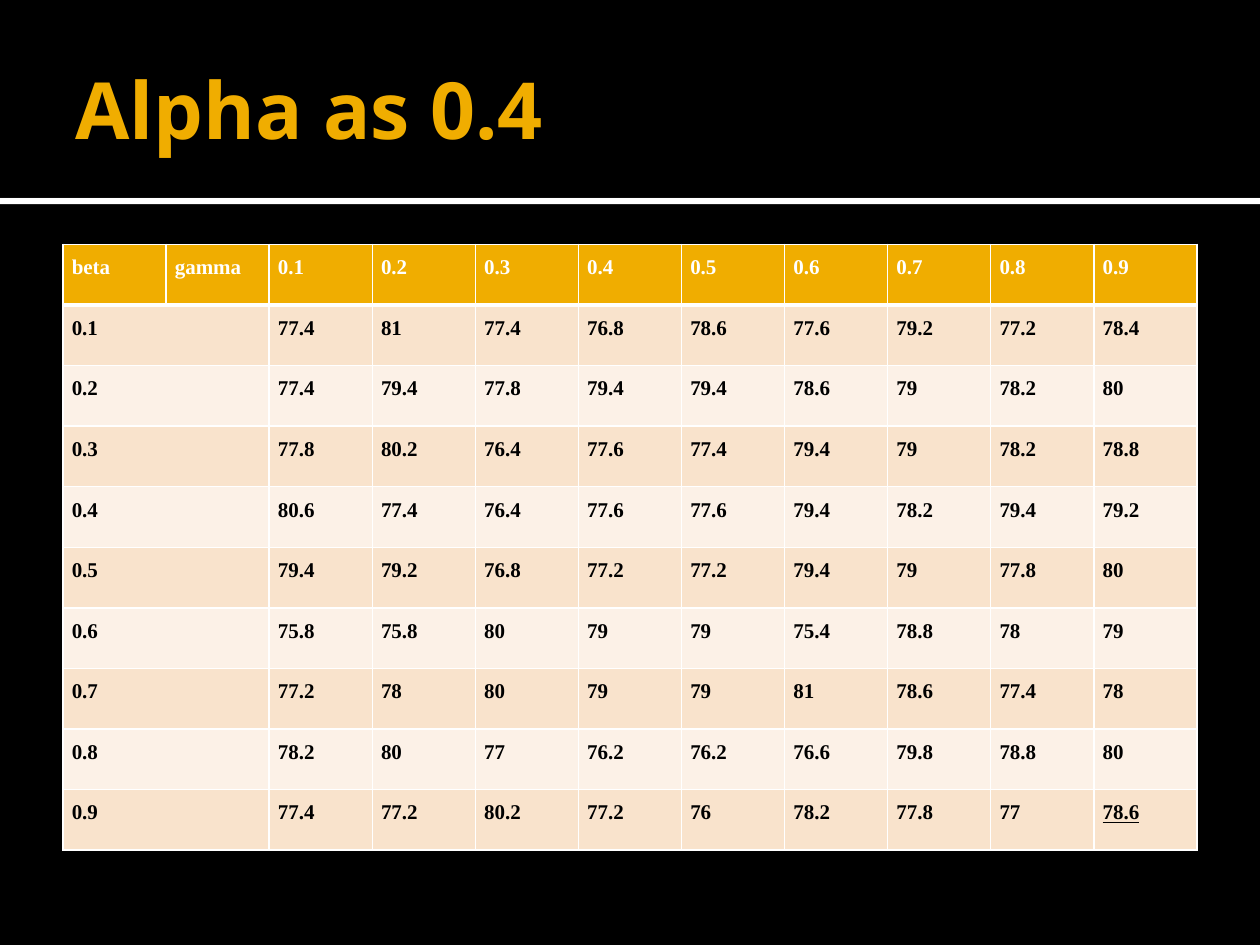
from lxml.etree import SubElement
from pptx import Presentation
from pptx.dml.color import RGBColor
from pptx.enum.shapes import MSO_SHAPE
from pptx.enum.text import MSO_ANCHOR, PP_ALIGN
from pptx.oxml.ns import qn
from pptx.util import Inches, Pt

COLORS = {
    "black": "000000",
    "white": "FFFFFF",
    "gold": "F0AD00",
    "band_dark": "F9E3CC",
    "band_light": "FCF1E7",
}
STEPS = [f"0.{step}" for step in range(1, 10)]
HEADER = ["beta", "gamma"] + STEPS
SCORES = [
    "77.4 81 77.4 76.8 78.6 77.6 79.2 77.2 78.4",
    "77.4 79.4 77.8 79.4 79.4 78.6 79 78.2 80",
    "77.8 80.2 76.4 77.6 77.4 79.4 79 78.2 78.8",
    "80.6 77.4 76.4 77.6 77.6 79.4 78.2 79.4 79.2",
    "79.4 79.2 76.8 77.2 77.2 79.4 79 77.8 80",
    "75.8 75.8 80 79 79 75.4 78.8 78 79",
    "77.2 78 80 79 79 81 78.6 77.4 78",
    "78.2 80 77 76.2 76.2 76.6 79.8 78.8 80",
    "77.4 77.2 80.2 77.2 76 78.2 77.8 77 78.6",
]


class SlideBuilder:
    """Holds the style and the current slide."""

    title_font = "Open Sans"
    table_font = "Times New Roman"

    def __init__(self, slide):
        self.slide = slide

    def color(self, name):
        return RGBColor.from_string(COLORS[name])

    def background(self, name):
        fill = self.slide.background.fill
        fill.solid()
        fill.fore_color.rgb = self.color(name)

    def bar(self, top, height, name):
        shape = self.slide.shapes.add_shape(
            MSO_SHAPE.RECTANGLE, 0, Inches(top), Inches(10), Inches(height))
        shape.shadow.inherit = False
        shape.fill.solid()
        shape.fill.fore_color.rgb = self.color(name)
        shape.line.fill.background()

    def add_run(self, paragraph, text, font_name, size, color):
        run = paragraph.add_run()
        run.text = text
        run.font.name = font_name
        run.font.size = Pt(size)
        run.font.bold = True
        run.font.color.rgb = self.color(color)
        return run

    def title(self, text):
        shape = self.slide.shapes.add_textbox(
            Inches(0.5), Inches(0.17), Inches(9), Inches(1.37))
        frame = shape.text_frame
        frame.word_wrap = True
        frame.vertical_anchor = MSO_ANCHOR.MIDDLE
        frame.margin_right = Inches(0.05)
        self.add_run(frame.paragraphs[0], text, self.title_font, 45, "gold")

    def borders(self, cell, top, bottom):
        properties = cell._tc.get_or_add_tcPr()
        widths = {"a:lnL": 1, "a:lnR": 1, "a:lnT": top, "a:lnB": bottom}
        for position, (tag, width) in enumerate(widths.items()):
            line = SubElement(properties, qn(tag), w=str(Pt(width)))
            fill = SubElement(line, qn("a:solidFill"))
            SubElement(fill, qn("a:srgbClr"), val=COLORS["white"])
            properties.insert(position, line)

    def cell(self, cell, text, fill, color):
        cell.fill.solid()
        cell.fill.fore_color.rgb = self.color(fill)
        cell.margin_left = cell.margin_right = Inches(0.07)
        cell.margin_top = cell.margin_bottom = 0
        if not text:
            return None
        paragraph = cell.text_frame.paragraphs[0]
        paragraph.alignment = PP_ALIGN.JUSTIFY
        paragraph.line_spacing = 1.5
        paragraph.space_after = Pt(10)
        return self.add_run(paragraph, text, self.table_font, 12, color)

    def table(self, rows):
        shape = self.slide.shapes.add_table(
            len(rows), len(rows[0]), Inches(0.5), Inches(1.94), Inches(9), Inches(4.81))
        table = shape.table
        for row_index, texts in enumerate(rows):
            header = row_index == 0
            band = "band_dark" if row_index % 2 else "band_light"
            for column_index, text in enumerate(texts):
                cell = table.cell(row_index, column_index)
                run = self.cell(cell, text, "gold" if header else band,
                                "white" if header else "black")
                self.borders(cell, 3 if row_index == 1 else 1, 3 if header else 1)
            if not header:
                table.cell(row_index, 0).merge(table.cell(row_index, 1))
        run.font.underline = True


def main():
    presentation = Presentation()
    presentation.slide_width = Inches(10)
    presentation.slide_height = Inches(7.5)
    builder = SlideBuilder(presentation.slides.add_slide(presentation.slide_layouts[6]))
    builder.background("black")
    builder.bar(1.57, 0.05, "white")
    builder.bar(0, 1.57, "black")
    builder.title("Alpha as 0.4")
    body = [[beta, ""] + scores.split() for beta, scores in zip(STEPS, SCORES)]
    builder.table([HEADER] + body)
    presentation.save("out.pptx")


if __name__ == "__main__":
    main()
